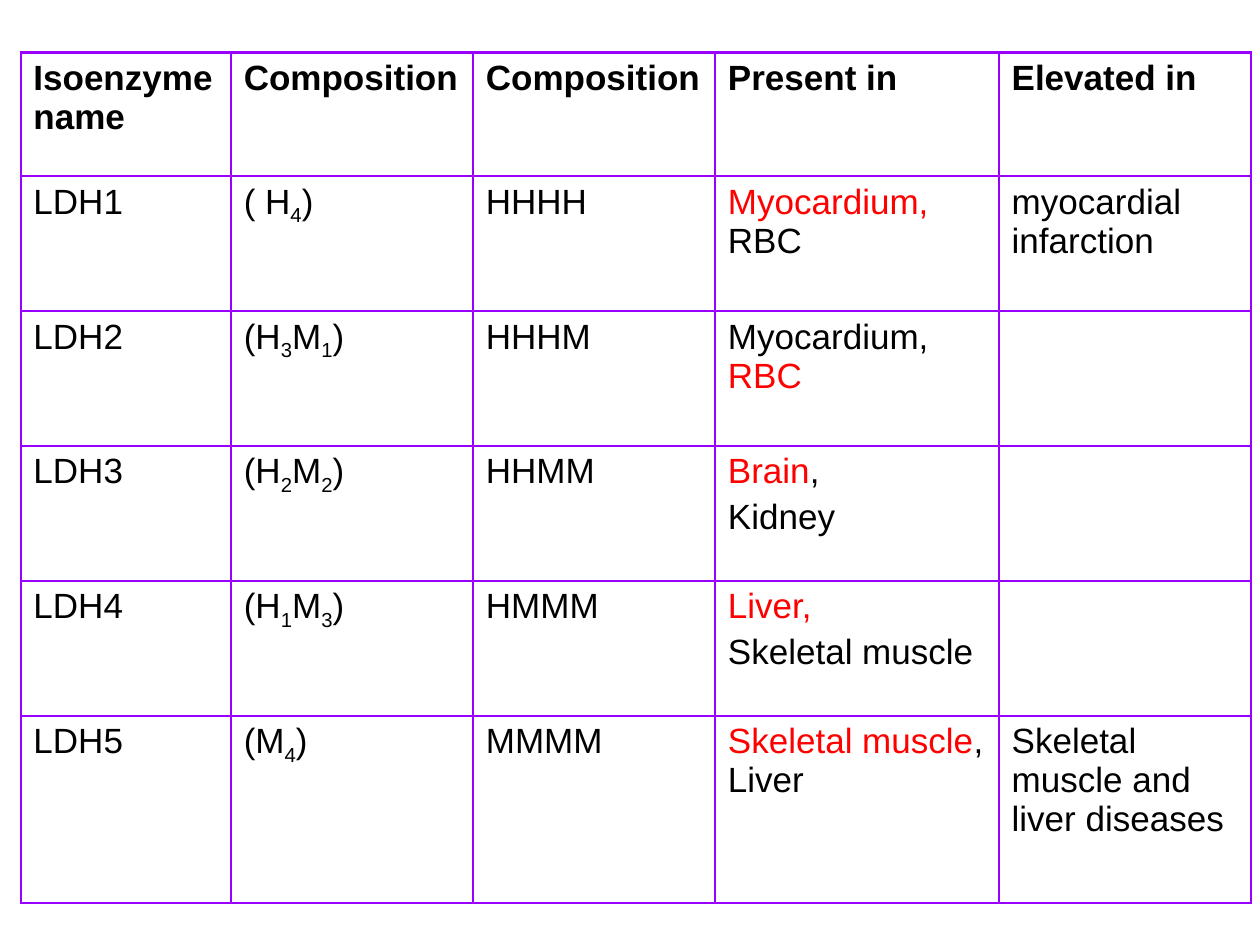
from lxml.etree import SubElement
from pptx import Presentation
from pptx.dml.color import RGBColor
from pptx.oxml.ns import qn
from pptx.util import Cm, Pt

COLORS = {"text": "000000", "accent": "FF0000", "border": "9900FF", "cell": "FFFFFF"}
COLUMN_WIDTHS = [4.24, 4.88, 4.88, 5.72, 5.08]
ROW_HEIGHTS = [2.49] + [2.72] * 4 + [3.78]

# *accent colour*, ~subscript~; a line break starts a new paragraph
ISOENZYMES = [
    ["Isoenzyme name", "Composition", "Composition", "Present in", "Elevated in"],
    ["LDH1", "( H~4~)", "HHHH", "*Myocardium, *RBC", "myocardial infarction"],
    ["LDH2", "(H~3~M~1~)", "HHHM", "Myocardium, *RBC*", ""],
    ["LDH3", "(H~2~M~2~)", "HHMM", "*Brain*,\nKidney", ""],
    ["LDH4", "(H~1~M~3~)", "HMMM", "*Liver,*\nSkeletal muscle", ""],
    ["LDH5", "(M~4~)", "MMMM", "*Skeletal muscle*, Liver",
     "Skeletal muscle and liver diseases"],
]


class SlideBuilder:
    font_name = "Arial"
    font_size = Pt(20)
    paragraph_gap = Pt(4)
    border_width = Pt(1.5)

    def __init__(self, page):
        self.page = page

    def color(self, name):
        return RGBColor.from_string(COLORS[name])

    def add_table(self, left, top, widths, heights, rows):
        frame = self.page.shapes.add_table(
            len(rows), len(widths), Cm(left), Cm(top), Cm(sum(widths)), Cm(sum(heights)))
        table = frame.table
        for column, width in zip(table.columns, widths):
            column.width = Cm(width)
        for row, height in zip(table.rows, heights):
            row.height = Cm(height)
        for row_index, texts in enumerate(rows):
            for column_index, text in enumerate(texts):
                cell = table.cell(row_index, column_index)
                self.add_borders(cell)
                cell.fill.solid()
                cell.fill.fore_color.rgb = self.color("cell")
                self.add_text(cell.text_frame, text, bold=row_index == 0)

    def add_borders(self, cell):
        properties = cell._tc.get_or_add_tcPr()
        for side in ("a:lnL", "a:lnR", "a:lnT", "a:lnB"):
            line = SubElement(properties, qn(side), w=str(self.border_width))
            fill = SubElement(line, qn("a:solidFill"))
            SubElement(fill, qn("a:srgbClr"), val=COLORS["border"])

    def add_text(self, text_frame, text, bold):
        for index, line in enumerate(text.split("\n")):
            para = text_frame.add_paragraph() if index else text_frame.paragraphs[0]
            para.space_before = self.paragraph_gap if index else Pt(0)
            para.font.name = self.font_name
            para.font.size = self.font_size
            para.font.bold = bold
            self.add_spans(para, line)

    def add_spans(self, para, line):
        for accent_index, section in enumerate(line.split("*")):
            for subscript_index, piece in enumerate(section.split("~")):
                if not piece:
                    continue
                span = para.add_run()
                span.text = piece
                span.font.color.rgb = self.color("accent" if accent_index % 2 else "text")
                if subscript_index % 2:
                    span._r.get_or_add_rPr().set("baseline", "-25000")


def main():
    deck = Presentation()
    deck.slide_width, deck.slide_height = Cm(25.4), Cm(19.05)
    blank_layout = deck.slide_layouts[6]
    builder = SlideBuilder(deck.slides.add_slide(blank_layout))
    builder.add_table(0.42, 1.06, COLUMN_WIDTHS, ROW_HEIGHTS, ISOENZYMES)
    deck.save("out.pptx")


if __name__ == "__main__":
    main()
